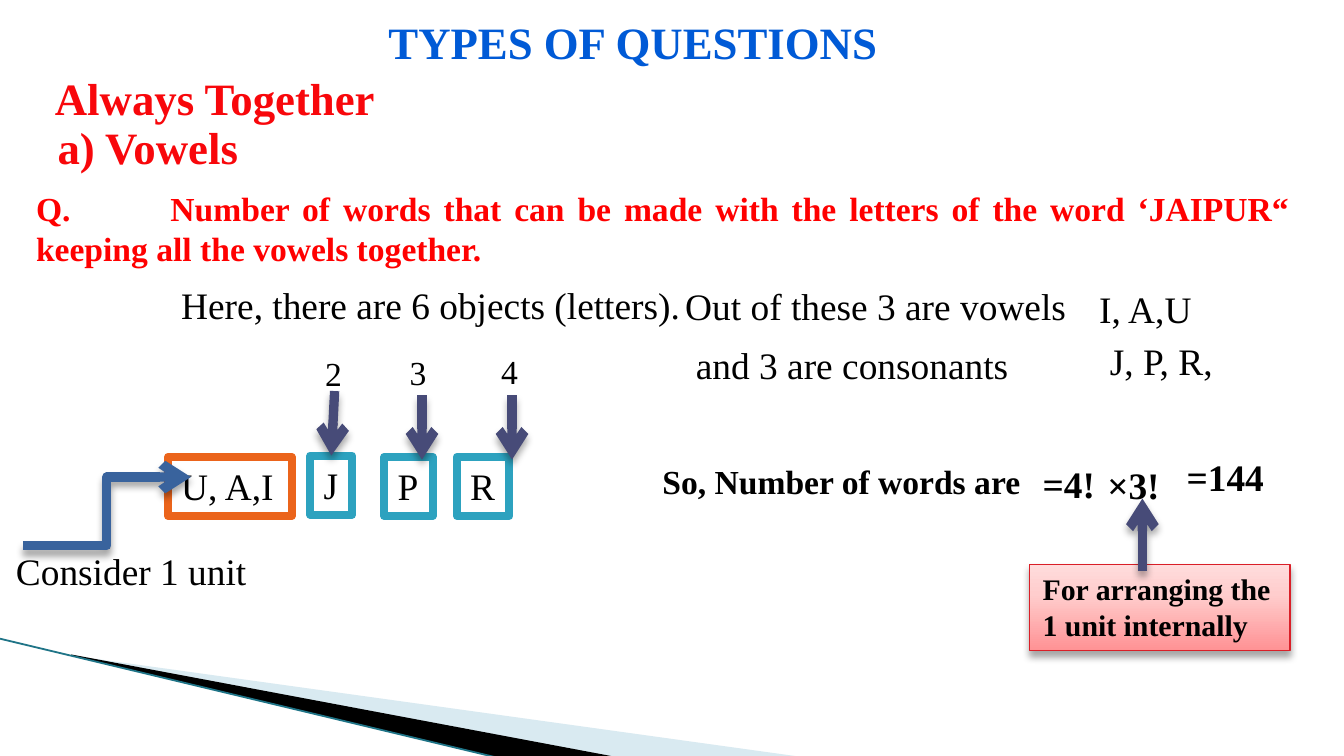
from copy import deepcopy

from pptx import Presentation
from pptx.dml.color import RGBColor
from pptx.enum.shapes import MSO_CONNECTOR as Link, MSO_SHAPE as Shape
from pptx.enum.text import MSO_ANCHOR as Anchor, MSO_AUTO_SIZE as AutoSize, PP_ALIGN as Align
from pptx.oxml import parse_xml
from pptx.oxml.ns import nsdecls, qn
from pptx.util import Inches, Pt

rgb = RGBColor.from_string
SHADOW = (
    '<a:outerShdw blurRad="50800" dist="38100" dir="5400000" rotWithShape="0">'
    '<a:srgbClr val="000000"><a:alpha val="35000"/></a:srgbClr></a:outerShdw>'
)


def write(box, text, size, wrap=False, bold=False, color="000000", align=Align.LEFT):
    frame = box.text_frame
    frame.text = text
    frame_format = {"word_wrap": wrap, "auto_size": AutoSize.NONE, "vertical_anchor": Anchor.TOP}
    for name, value in frame_format.items():
        setattr(frame, name, value)
    para = frame.paragraphs[0]
    para.alignment = align
    span = para.runs[0]
    for name, value in {"name": "Times New Roman", "size": Pt(size), "bold": bold}.items():
        setattr(span.font, name, value)
    span.font.color.rgb = rgb(color)


def set_effects(shape, effect=""):
    """Replace the theme shadow by the given effect, or by none."""
    properties = shape._element.spPr
    for old in properties.findall(qn("a:effectLst")):
        properties.remove(old)
    properties.append(parse_xml(f'<a:effectLst {nsdecls("a")}>{effect}</a:effectLst>'))


deck = Presentation()
deck.slide_width = Inches(10)
deck.slide_height = Inches(10) * 9 // 16
page = deck.slides.add_slide(deck.slide_layouts[5])
shapes = page.shapes

# Corner decoration
wedges = [
    ([(0.55, 4.88), (5.95, 5.63), (4.56, 5.63)], "A0CBDC", 40),
    ([(0.53, 4.87), (4.57, 5.63), (3.72, 5.64), (0.54, 4.88)], "000000", 100),
]
for points, color, opacity in wedges:
    corners = [(Inches(x), Inches(y)) for x, y in points]
    builder = shapes.build_freeform(*corners[0])
    builder.add_line_segments(corners[1:], close=True)
    wedge = builder.convert_to_shape()
    wedge.fill.solid()
    wedge.fill.fore_color.rgb = rgb(color)
    wedge.line.fill.background()
    set_effects(wedge)
    tint = wedge._element.spPr.find(qn("a:solidFill"))[0]
    tint.append(parse_xml(f'<a:alpha {nsdecls("a")} val="{opacity * 1000}"/>'))

edge = shapes.add_connector(Link.STRAIGHT, Inches(-0.01), Inches(4.75), Inches(3.71), Inches(5.64))
edge.line.color.rgb = rgb("1F7487")
edge.line.width = Pt(0.95)
set_effects(edge)

# Title and headings
title = shapes.title
title.left, title.top, title.width, title.height = map(Inches, (2.79, 0.06, 3.96, 0.5))
write(title, "TYPES OF QUESTIONS", 24, bold=True, color="005AD6")

for text, left, top, width in [("Always Together", 0.31, 0.48, 2.61), ("a) Vowels", 0.33, 0.84, 1.56)]:
    heading = shapes.add_textbox(Inches(left), Inches(top), Inches(width), Inches(0.5))
    write(heading, text, 24, bold=True, color="F8070B")

question = shapes.add_textbox(Inches(0.17), Inches(1.35), Inches(9.67), Inches(0.71))
write(
    question,
    "Q.\tNumber of words that can be made with the letters of the word ‘JAIPUR“ "
    "\tkeeping all the vowels together.",
    18, wrap=True, bold=True, color="FF0000", align=Align.JUSTIFY,
)
question.text_frame.paragraphs[0]._p.get_or_add_pPr().append(
    parse_xml(f'<a:tabLst {nsdecls("a")}><a:tab pos="{Inches(1)}" algn="l"/></a:tabLst>')
)

# Working: text, left, top, width, size, wrap, bold
notes = [
    ("Here, there are 6 objects (letters).", 1.25, 2.05, 4.04, 20, True, False),
    ("Out of these 3 are vowels", 5, 2.06, 3.09, 20, True, False),
    ("and 3 are consonants", 5.08, 2.5, 2.54, 20, False, False),
    ("I, A,U", 8.08, 2.08, 1.25, 20, True, False),
    ("J, P, R,", 8.16, 2.47, 0.97, 20, False, False),
    ("Consider 1 unit", 0.02, 4.03, 1.93, 20, False, False),
    ("2", 2.32, 2.58, 0.39, 18, True, False),
    ("3", 2.95, 2.57, 0.39, 18, True, False),
    ("4", 3.63, 2.56, 0.33, 18, True, False),
    ("So, Number of words are", 4.83, 3.38, 2.92, 18, True, True),
    ("=4!", 7.66, 3.38, 0.59, 20, False, True),
    ("×3!", 8.14, 3.39, 0.59, 20, False, True),
    ("=144", 8.73, 3.33, 0.78, 20, False, True),
]
for text, left, top, width, size, wrap, bold in notes:
    height = 0.44 if size == 20 else 0.4
    note = shapes.add_textbox(Inches(left), Inches(top), Inches(width), Inches(height))
    write(note, text, size, wrap, bold)

# Letter units
units = {}
for text, left, top, width, color in [
    ("U, A,I", 1.25, 3.4, 0.92, "EB641B"),
    ("J", 2.31, 3.39, 0.31, "2DA2BF"),
    ("P", 2.86, 3.4, 0.36, "2DA2BF"),
    ("R", 3.4, 3.4, 0.39, "2DA2BF"),
]:
    unit = shapes.add_shape(Shape.RECTANGLE, Inches(left), Inches(top), Inches(width), Inches(0.44))
    unit.shadow.inherit = False
    unit.fill.solid()
    unit.fill.fore_color.rgb = rgb("FFFFFF")
    unit.line.color.rgb = rgb(color)
    unit.line.width = Pt(4.33)
    write(unit, text, 20)
    units[text] = unit

# Callout
callout = shapes.add_shape(Shape.RECTANGLE, Inches(7.66), Inches(4.2), Inches(1.94), Inches(0.64))
callout.fill.gradient()
callout.fill.gradient_angle = 90
stop_list = callout._element.spPr.find(".//" + qn("a:gsLst"))
stop_list.append(deepcopy(stop_list[-1]))
gradient = [(0, "FF9294"), (0.65, "FFCDCD"), (1, "FFDCDC")]
for stop, (position, color) in zip(callout.fill.gradient_stops, gradient):
    stop.position = position
    stop.color.rgb = rgb(color)
callout.line.color.rgb = rgb("DA1F28")
callout.line.width = Pt(0.75)
set_effects(callout, SHADOW)
write(callout, "For arranging the 1 unit internally", 16, wrap=True, bold=True)

# Arrows: kind, start, end, colour, unit joined at its top
arrows = [
    (Link.ELBOW, (0.17, 4.06), (1.42, 3.55), "39639D", None),
    (Link.STRAIGHT, (2.49, 2.91), (2.46, 3.39), "474B78", "J"),
    (Link.STRAIGHT, (3.14, 2.94), (3.14, 3.42), "474B78", None),
    (Link.STRAIGHT, (3.81, 2.94), (3.81, 3.42), "474B78", None),
    (Link.STRAIGHT, (8.5, 4.25), (8.5, 3.71), "474B78", None),
]
for kind, start, end, color, target in arrows:
    arrow = shapes.add_connector(kind, *map(Inches, start + end))
    if target:
        arrow.end_connect(units[target], 0)
    arrow.line.color.rgb = rgb(color)
    arrow.line.width = Pt(5)
    arrow.line._get_or_add_ln().append(parse_xml(f'<a:tailEnd {nsdecls("a")} type="arrow"/>'))
    set_effects(arrow, SHADOW)

deck.save("out.pptx")
